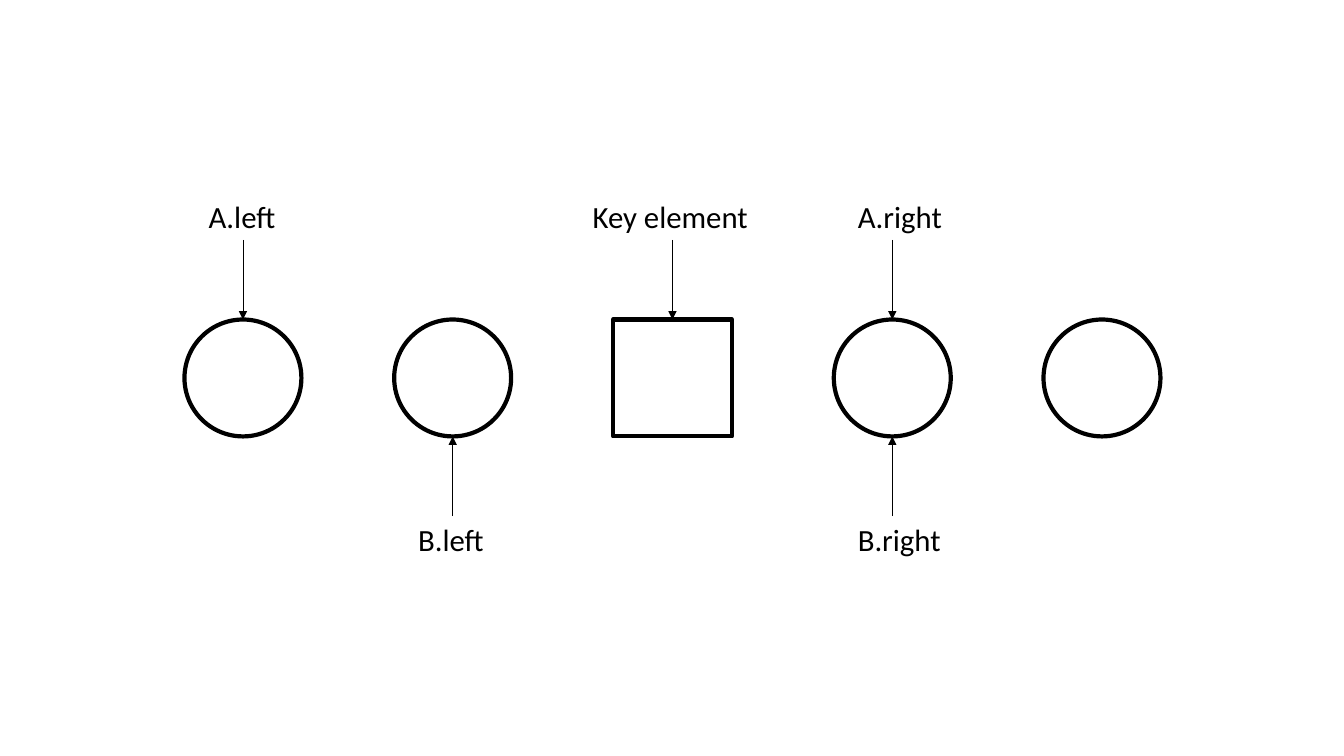
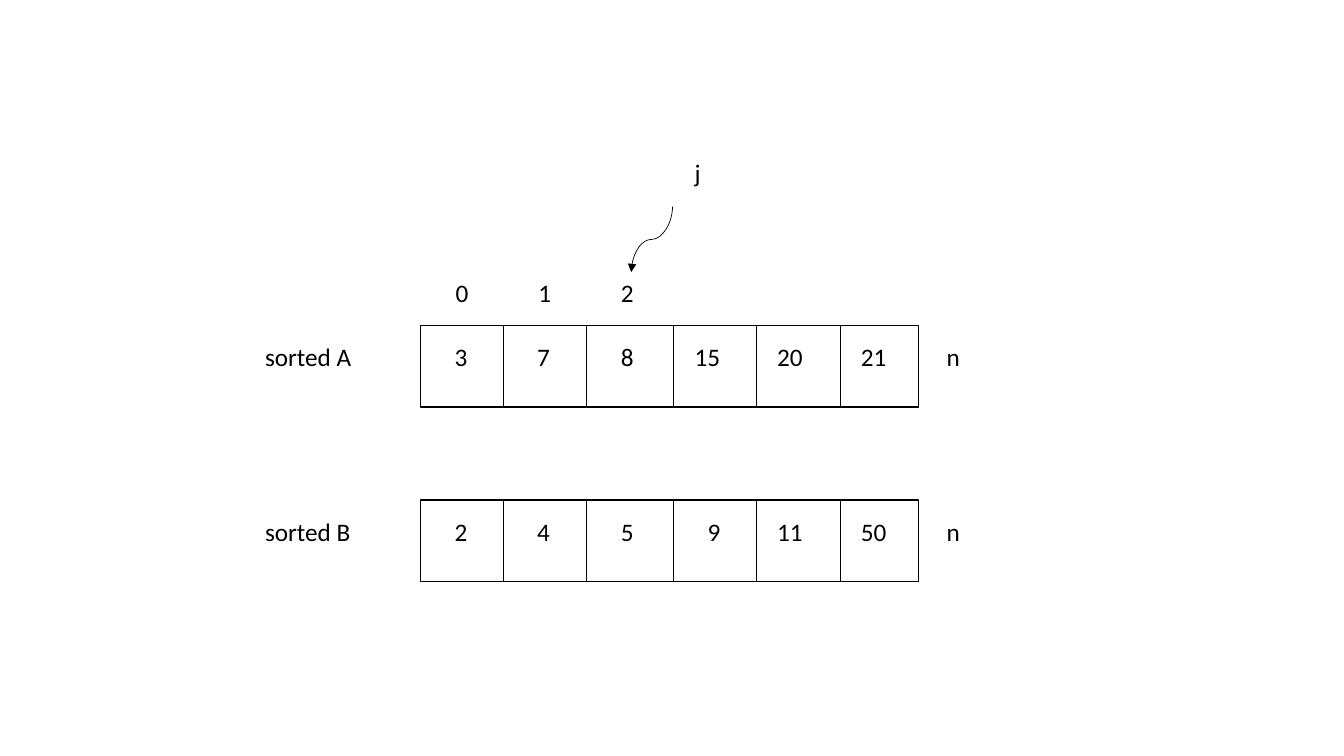
from dataclasses import dataclass
from typing import NamedTuple

from lxml.etree import SubElement
from pptx import Presentation
from pptx.dml.color import RGBColor
from pptx.enum.shapes import MSO_CONNECTOR, MSO_SHAPE
from pptx.enum.text import MSO_AUTO_SIZE
from pptx.oxml.ns import qn
from pptx.util import Inches, Pt


@dataclass(frozen=True)
class Theme:
    ink: RGBColor = RGBColor(0x00, 0x00, 0x00)
    paper: RGBColor = RGBColor(0xFF, 0xFF, 0xFF)
    font: str = "Calibri"
    label_size: float = 22
    array_size: float = 18
    thin: float = 0.5
    frame: float = 1
    bold: float = 3


class Node(NamedTuple):
    left: float
    width: float
    kind: MSO_SHAPE

    @property
    def center(self) -> float:
        return self.left + self.width / 2


class Pointer(NamedTuple):
    text: str
    node: int
    left: float
    width: float
    above: bool


class ArrayRow(NamedTuple):
    name: str
    top: float
    values: tuple[int, ...]


THEME = Theme()

NODE_TOP, NODE_SIZE = 3.17, 1.16
ARROW_LENGTH = 0.79
LABEL_HEIGHT = 0.47
NODES = (
    Node(1.83, NODE_SIZE, MSO_SHAPE.OVAL),
    Node(3.91, NODE_SIZE, MSO_SHAPE.OVAL),
    Node(6.08, 1.18, MSO_SHAPE.RECTANGLE),
    Node(8.27, NODE_SIZE, MSO_SHAPE.OVAL),
    Node(10.35, NODE_SIZE, MSO_SHAPE.OVAL),
)
POINTERS = (
    Pointer("A.left", 0, 1.97, 0.88, True),
    Pointer("Key element", 2, 5.78, 1.76, True),
    Pointer("A.right", 3, 8.41, 1.04, True),
    Pointer("B.left", 1, 4.05, 0.87, False),
    Pointer("B.right", 3, 8.41, 1.03, False),
)

EDGES = (4.17, 4.99, 5.82, 6.68, 7.5, 8.33, 9.11)
ROW_HEIGHT = 0.81
TEXT_DROP, TEXT_HEIGHT = 0.11, 0.6
INDEX_LEFT, INDEX_TOP, INDEX_PITCH = 4.42, 2.7, 0.82
ROWS = (
    ArrayRow("sorted A", 3.23, (3, 7, 8, 15, 20, 21)),
    ArrayRow("sorted B", 4.96, (2, 4, 5, 9, 11, 50)),
)


def add_outline(s, kind: MSO_SHAPE, left: float, top: float,
                width: float, height: float, weight: float) -> None:
    sp = s.shapes.add_shape(kind, Inches(left), Inches(top), Inches(width), Inches(height))
    sp.shadow.inherit = False
    sp.fill.solid()
    sp.fill.fore_color.rgb = THEME.paper
    sp.line.color.rgb = THEME.ink
    sp.line.width = Pt(weight)


def add_text(s, text: str, left: float, top: float, width: float,
             height: float, size: float, wrap: bool = False) -> None:
    tb = s.shapes.add_textbox(Inches(left), Inches(top), Inches(width), Inches(height))
    tf = tb.text_frame
    tf.word_wrap = wrap
    tf.auto_size = MSO_AUTO_SIZE.SHAPE_TO_FIT_TEXT
    p = tf.paragraphs[0]
    r = p.add_run()
    r.text = text
    r.font.name = THEME.font
    r.font.size = Pt(size)
    r.font.color.rgb = THEME.ink


def add_line(s, x1: float, y1: float, x2: float, y2: float, arrow: bool = False,
             kind: MSO_CONNECTOR = MSO_CONNECTOR.STRAIGHT, rotation: int = 0) -> None:
    cxn = s.shapes.add_connector(kind, Inches(x1), Inches(y1), Inches(x2), Inches(y2))
    cxn.line.color.rgb = THEME.ink
    cxn.line.width = Pt(THEME.thin)
    sp_pr = cxn._element.spPr
    if arrow:
        SubElement(sp_pr.find(qn("a:ln")), qn("a:tailEnd"), type="triangle")
    if rotation:
        sp_pr.find(qn("a:xfrm")).set("rot", str(rotation * 60000))
    SubElement(sp_pr, qn("a:effectLst"))


def add_pointer(s, pointer: Pointer) -> None:
    x = NODES[pointer.node].center
    if pointer.above:
        tip = NODE_TOP
        start = tip - ARROW_LENGTH
        label_top = start - LABEL_HEIGHT
    else:
        tip = NODE_TOP + NODE_SIZE
        start = tip + ARROW_LENGTH
        label_top = start
    add_line(s, x, start, x, tip, arrow=True)
    add_text(s, pointer.text, pointer.left, label_top, pointer.width,
             LABEL_HEIGHT, THEME.label_size)


def add_row(s, row: ArrayRow) -> None:
    add_outline(s, MSO_SHAPE.RECTANGLE, EDGES[0], row.top,
                EDGES[-1] - EDGES[0], ROW_HEIGHT, THEME.frame)
    for x in EDGES[1:-1]:
        add_line(s, x, row.top, x, row.top + ROW_HEIGHT)
    text_top = row.top + TEXT_DROP
    add_text(s, row.name, 2.53, text_top, 1.35, TEXT_HEIGHT, THEME.array_size)
    for edge, value in zip(EDGES, row.values):
        inset, width = (0.24, 0.32) if value < 10 else (0.11, 0.58)
        add_text(s, str(value), edge + inset, text_top, width,
                 TEXT_HEIGHT, THEME.array_size, wrap=True)
    add_text(s, "n", 9.29, text_top, 0.42, TEXT_HEIGHT, THEME.array_size)


def build_nodes(prs) -> None:
    s = prs.slides.add_slide(prs.slide_layouts[6])
    for node in NODES:
        add_outline(s, node.kind, node.left, NODE_TOP, node.width, NODE_SIZE, THEME.bold)
    for pointer in POINTERS:
        add_pointer(s, pointer)


def build_arrays(prs) -> None:
    s = prs.slides.add_slide(prs.slide_layouts[6])
    for row in ROWS:
        add_row(s, row)
    for i in range(3):
        add_text(s, str(i), INDEX_LEFT + i * INDEX_PITCH, INDEX_TOP,
                 0.42, 0.51, THEME.array_size)
    add_line(s, 6.14, 2.17, 6.79, 2.58, arrow=True, kind=MSO_CONNECTOR.CURVE, rotation=90)
    add_text(s, "j", 6.79, 1.51, 0.33, 0.51, THEME.array_size)


def main() -> None:
    prs = Presentation()
    prs.slide_width, prs.slide_height = Inches(13.33), Inches(7.5)
    build_nodes(prs)
    build_arrays(prs)
    prs.save("out.pptx")


main()
